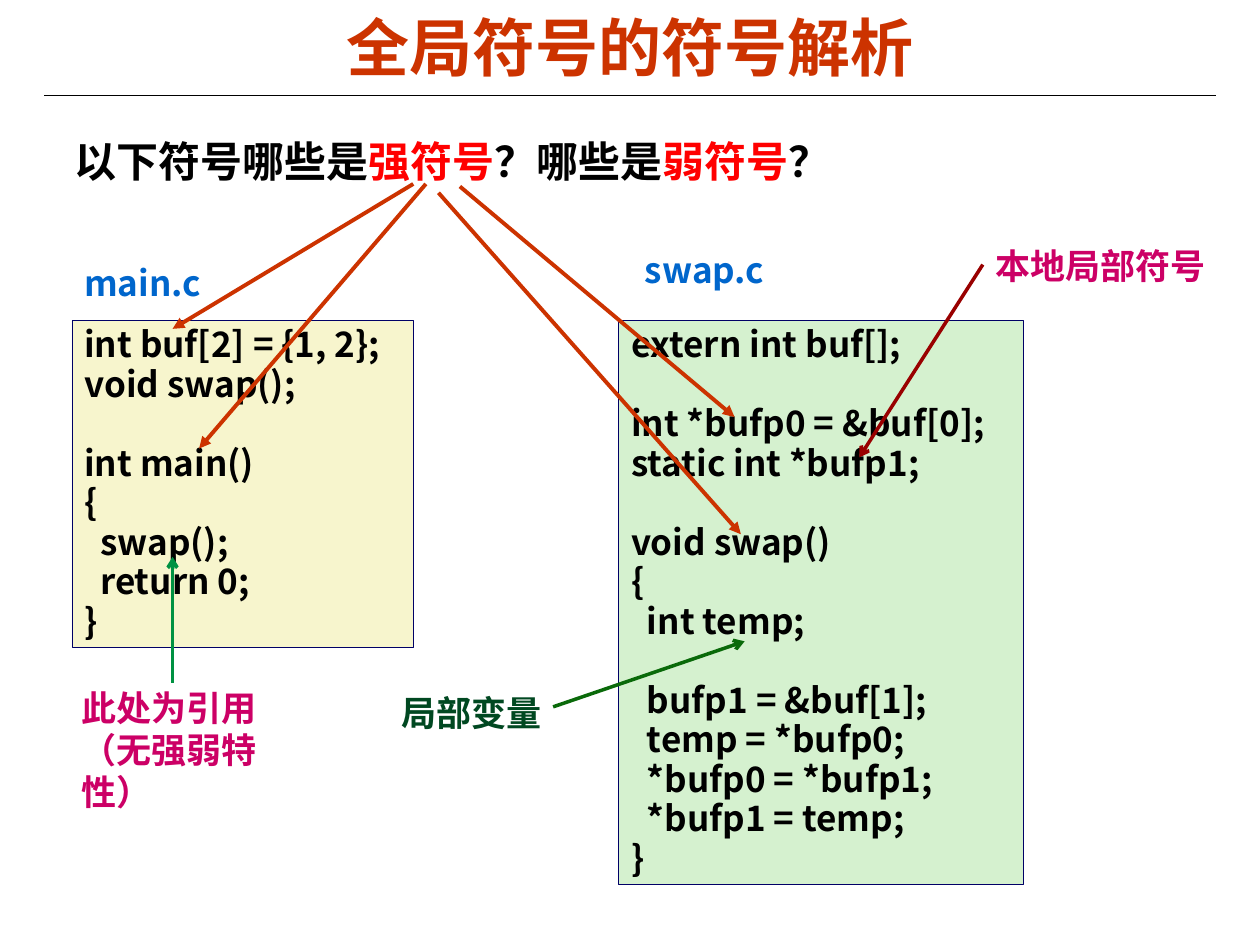
from lxml import etree
from pptx import Presentation
from pptx.dml.color import RGBColor
from pptx.enum.shapes import MSO_CONNECTOR, MSO_SHAPE
from pptx.enum.text import MSO_ANCHOR, PP_ALIGN
from pptx.oxml.ns import qn
from pptx.util import Pt

LEFT, CENTER, RIGHT = PP_ALIGN.LEFT, PP_ALIGN.CENTER, PP_ALIGN.RIGHT
TOP, MIDDLE = MSO_ANCHOR.TOP, MSO_ANCHOR.MIDDLE
RECT, STRAIGHT = MSO_SHAPE.RECTANGLE, MSO_CONNECTOR.STRAIGHT
PX = 9144
SANS, CJK = "Arial", "Noto Sans CJK SC"
BLACK, RED, ORANGE, BLUE, PINK = "000000", "FF0000", "CC3300", "0066CC", "CC0066"
CODE_SPACING = 0.94

TITLE = "全局符号的符号解析"
QUESTION = [
    ("以下符号哪些是", BLACK), ("强符号", RED), ("？哪些是", BLACK),
    ("弱符号", RED), ("？", BLACK),
]
MAIN_C = """int buf[2] = {1, 2};
void swap();

int main()
{
  swap();
  return 0;
}"""
SWAP_C = """extern int buf[];

int *bufp0 = &buf[0];
static int *bufp1;

void swap()
{
  int temp;

  bufp1 = &buf[1];
  temp = *bufp0;
  *bufp0 = *bufp1;
  *bufp1 = temp;
}"""
CODE_BOXES = [
    (MAIN_C, (57, 254, 271, 260), "F7F5CD"),
    (SWAP_C, (491, 254, 321, 448), "D5F1CF"),
]
FILE_NAMES = [
    ("main.c", (57, 205, 129, 41)),
    ("swap.c", (502, 195, 146, 41)),
]
NOTES = [
    ("此处为引用\n（无强弱特性）", (55, 540, 214, 77), PINK, LEFT),
    ("本地局部符号", (780, 189, 192, 43), PINK, LEFT),
    ("局部变量", (309, 544, 131, 43), "004821", RIGHT),
]
LINES = [
    ((35, 76), (965, 76), BLACK, 0.75, None),
    ((137, 542), (137, 442), "009242", 2, "arrow"),
    ((780, 210), (682, 363), "990000", 2, "arrow"),
    ((439, 561), (591, 509), "0A6A0A", 2, "arrow"),
    ((338, 146), (158, 356), ORANGE, 2.25, "triangle"),
    ((328, 146), (137, 261), ORANGE, 2.25, "triangle"),
    ((365, 148), (583, 331), ORANGE, 2.25, "triangle"),
    ((348, 153), (588, 424), ORANGE, 2.25, "triangle"),
]


def color(value):
    return RGBColor.from_string(value)


def emu(values):
    return [v * PX for v in values]


def style(p, size, font, fill, align=LEFT, spacing=None):
    p.alignment = align
    p.line_spacing = spacing
    p.font.size, p.font.bold, p.font.name = Pt(size), True, font
    p.font.color.rgb = color(fill)
    rpr = p._p.pPr.find(qn("a:defRPr"))
    etree.SubElement(rpr, qn("a:ea")).set("typeface", CJK)


def write(sp, text, size, font, fill, align=LEFT, spacing=None, anchor=TOP):
    tf = sp.text_frame
    tf.word_wrap = align != RIGHT
    tf.vertical_anchor = anchor
    tf.text = text
    for p in tf.paragraphs:
        style(p, size, font, fill, align, spacing)


def add_line(s, start, end, fill, width, head):
    line = s.shapes.add_connector(STRAIGHT, *emu(start + end))
    line.line.color.rgb = color(fill)
    line.line.width = Pt(width)
    if head:
        etree.SubElement(line.line._get_or_add_ln(), qn("a:tailEnd")).set("type", head)
    etree.SubElement(line._element.spPr, qn("a:effectLst"))


def main():
    prs = Presentation()
    prs.slide_width, prs.slide_height = emu((1000, 750))
    s = prs.slides.add_slide(prs.slide_layouts[6])

    title = s.shapes.add_textbox(*emu((50, 6, 900, 61)))
    write(title, TITLE, 36, SANS, ORANGE, CENTER, anchor=MIDDLE)

    for code, box, fill in CODE_BOXES:
        sp = s.shapes.add_shape(RECT, *emu(box))
        sp.shadow.inherit = False
        sp.fill.solid()
        sp.fill.fore_color.rgb = color(fill)
        sp.line.color.rgb = color("000066")
        sp.line.width = Pt(0.25)
        write(sp, code, 20, CJK, BLACK, spacing=CODE_SPACING)

    for name, box in FILE_NAMES:
        write(s.shapes.add_textbox(*emu(box)), name, 20, CJK, BLUE, spacing=CODE_SPACING)

    for note, box, fill, align in NOTES:
        write(s.shapes.add_textbox(*emu(box)), note, 20, CJK, fill, align)

    tf = s.shapes.add_textbox(*emu((49, 103, 697, 50))).text_frame
    tf.word_wrap = True
    p = tf.paragraphs[0]
    style(p, 24, SANS, BLACK)
    for text, fill in QUESTION:
        r = p.add_run()
        r.text = text
        r.font.color.rgb = color(fill)

    for line in LINES:
        add_line(s, *line)

    prs.save("out.pptx")


if __name__ == "__main__":
    main()
